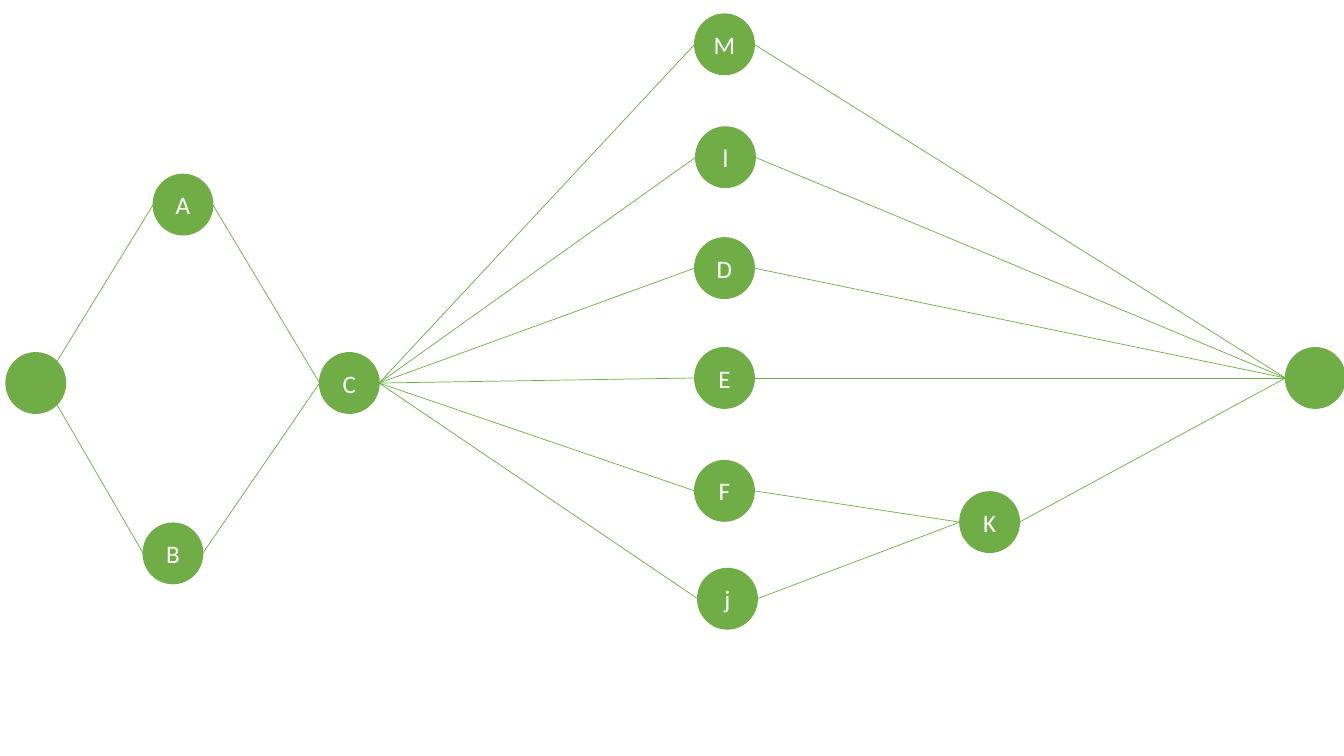
from math import cos, radians, sin

from lxml.etree import SubElement
from pptx import Presentation
from pptx.dml.color import RGBColor
from pptx.enum.shapes import MSO_CONNECTOR as Connector, MSO_SHAPE as Shape
from pptx.enum.text import MSO_ANCHOR as Anchor, PP_ALIGN as Align
from pptx.oxml.ns import qn
from pptx.util import Pt

PX = 9144  # EMU per px, 100 px to the inch
COLORS = {"green": "70AD47", "white": "FFFFFF"}
NODE_W, NODE_H = 59, 60

# Left and top of each node, in px
NODES = {
    "A": (152, 173), "B": (142, 519), "C": (317, 350),
    "M": (689, 14), "l": (690, 126), "D": (689, 236),
    "E": (689, 345), "F": (689, 457), "j": (692, 564),
    "K": (952, 488), "start": (6, 350), "end": (1275, 345),
}
UNLABELLED = {"start", "end"}

# Angles on a node's rim, clockwise from the right
RIGHT, LOWER_RIGHT, LEFT, UPPER_RIGHT = 0, 45, 180, -45


class NetworkDiagram:
    """Draws nodes and edges in one style on the current slide."""

    def __init__(self, page):
        self.page = page
        self.font = "Calibri"

    def color(self, name):
        return RGBColor.from_string(COLORS[name])

    def node(self, name):
        left, top = NODES[name]
        circle = self.page.shapes.add_shape(
            Shape.OVAL, left * PX, top * PX, NODE_W * PX, NODE_H * PX)
        circle.shadow.inherit = False
        circle.fill.solid()
        circle.fill.fore_color.rgb = self.color("green")
        circle.line.color.rgb = self.color("green")
        circle.line.width = Pt(1)
        if name in UNLABELLED:
            return
        frame = circle.text_frame
        frame.word_wrap = True
        frame.vertical_anchor = Anchor.MIDDLE
        para = frame.paragraphs[0]
        para.text = name
        para.alignment = Align.CENTER
        para.font.name = self.font
        para.font.size = Pt(18)
        para.font.color.rgb = self.color("white")

    def rim_point(self, name, angle):
        left, top = NODES[name]
        x = left + NODE_W / 2 * (1 + cos(radians(angle)))
        y = top + NODE_H / 2 * (1 + sin(radians(angle)))
        return round(x * PX), round(y * PX)

    def edge(self, source, target, angle=RIGHT):
        line = self.page.shapes.add_connector(
            Connector.STRAIGHT,
            *self.rim_point(source, angle), *self.rim_point(target, LEFT))
        line.line.color.rgb = self.color("green")
        line.line.width = Pt(0.5)
        SubElement(line._element.spPr, qn("a:effectLst"))


def main():
    deck = Presentation()
    deck.slide_width, deck.slide_height = 1333 * PX, 750 * PX
    diagram = NetworkDiagram(deck.slides.add_slide(deck.slide_layouts[6]))

    # Nodes
    for name in NODES:
        diagram.node(name)

    # Start to C by way of A and B
    diagram.edge("start", "A", UPPER_RIGHT)
    diagram.edge("start", "B", LOWER_RIGHT)
    for name in "AB":
        diagram.edge(name, "C")

    # C fans out; F and j reach the end through K
    for name in "MlDEFj":
        diagram.edge("C", name)
        diagram.edge(name, "K" if name in "Fj" else "end")
    diagram.edge("K", "end")

    deck.save("out.pptx")


if __name__ == "__main__":
    main()
